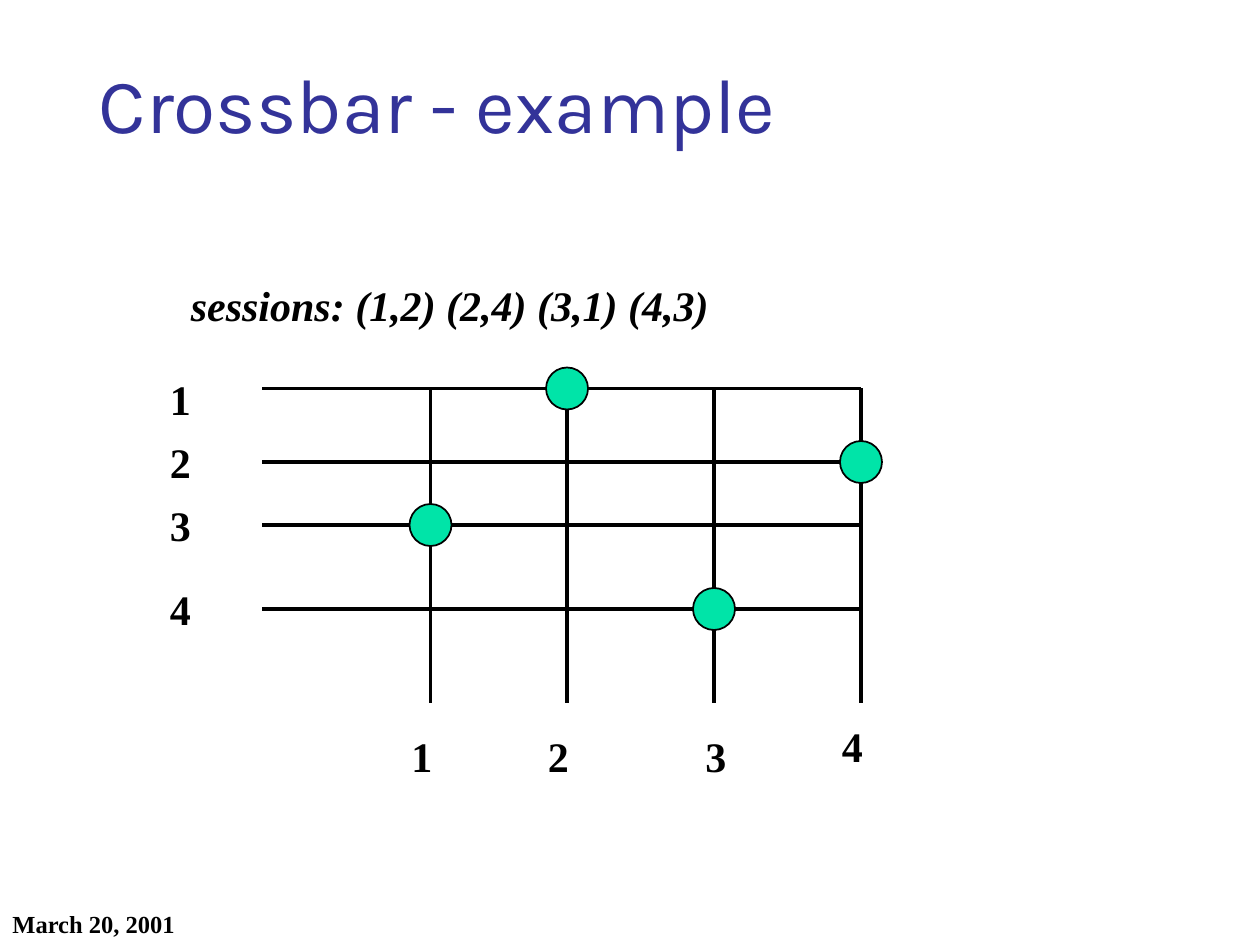
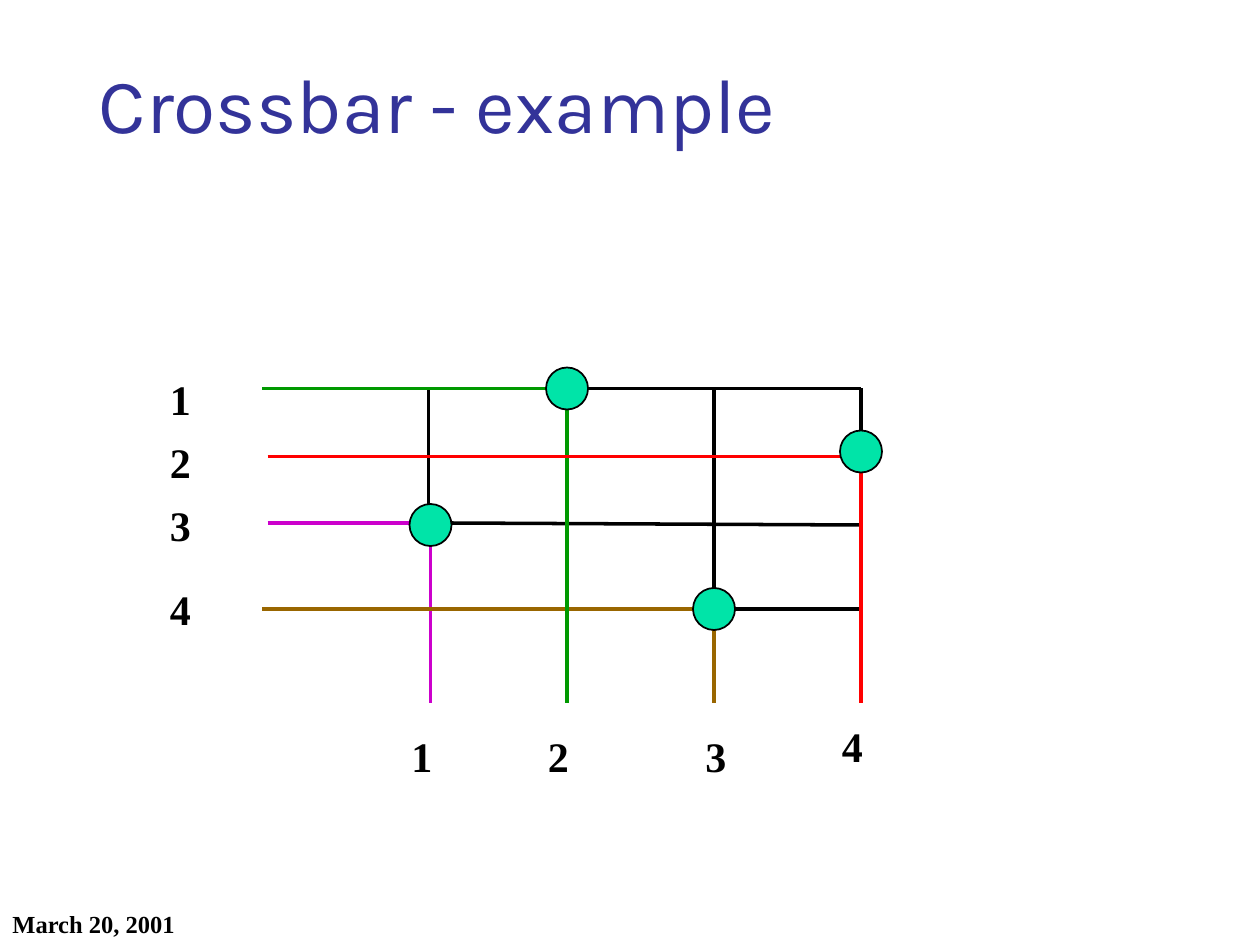
from dataclasses import dataclass

from lxml import etree
from pptx import Presentation
from pptx.dml.color import RGBColor
from pptx.enum.shapes import MSO_CONNECTOR, MSO_SHAPE
from pptx.enum.text import MSO_ANCHOR
from pptx.oxml.ns import qn
from pptx.util import Inches, Pt

STRAIGHT = MSO_CONNECTOR.STRAIGHT
OVAL = MSO_SHAPE.OVAL
TOP, BOTTOM = MSO_ANCHOR.TOP, MSO_ANCHOR.BOTTOM

SLIDE_WIDTH, SLIDE_HEIGHT = Inches(10), Inches(7.5)
COLUMN, ROW = SLIDE_WIDTH / 120, SLIDE_HEIGHT / 90

COLORS = {
    "title": "333399",
    "ink": "000000",
    "switch": "00E4A8",
    "green": "009900",
    "red": "FF0000",
    "magenta": "CC00CC",
    "brown": "996600",
}
TITLE_FONT, BODY_FONT = "Karla", "Times New Roman"

INPUT_ROWS = (2, 9, 15, 23)
OUTPUT_COLUMNS = (26, 39, 53, 67)
WIRE_LEFT, WIRE_RIGHT = 10, OUTPUT_COLUMNS[-1]
WIRE_TOP, WIRE_BOTTOM = INPUT_ROWS[0], 32
INPUT_LABEL_ROWS = (0, 6, 12, 20)
OUTPUT_LABELS = ((23, 34), (36, 34), (51, 34), (64, 33))
SWITCH_SIZE = 4


@dataclass
class Box:
    left: float
    top: float
    width: float
    height: float

    def inside(self, left, top, width, height):
        return Box(self.left + left, self.top + top, width, height)

    def emu(self):
        return (round(self.left * COLUMN), round(self.top * ROW),
                round(self.width * COLUMN), round(self.height * ROW))


@dataclass
class Route:
    source: int
    target: int
    color: str
    left: float = WIRE_LEFT
    row_shift: float = 0
    switch_shift: float = 0
    upper_shift: float = 0


TITLE_BOX = Box(8.25, 4.75, 103.5, 17.4)
DATE_BOX = Box(0, 84, 25, 6)
SESSIONS_BOX = Box(17, 26, 53.3, 6)
CROSSBAR_BOX = Box(15, 35, 72, 40)

SESSIONS = ((1, 2), (2, 4), (3, 1), (4, 3))
ROUTES = (
    Route(3, 1, "magenta", left=10.5, row_shift=-0.2, upper_shift=-0.2),
    Route(4, 3, "brown"),
    Route(1, 2, "green"),
    Route(2, 4, "red", left=10.5, row_shift=-0.5, switch_shift=-1),
)


def color(name):
    return RGBColor.from_string(COLORS[name])


def add_text(slide, box, text, size, ink="ink", font=BODY_FONT,
             bold=True, italic=False, anchor=TOP):
    frame = slide.shapes.add_textbox(*box.emu()).text_frame
    frame.word_wrap = True
    frame.vertical_anchor = anchor
    run = frame.paragraphs[0].add_run()
    run.text = text
    run.font.name = font
    run.font.size = Pt(size)
    run.font.bold = bold
    run.font.italic = italic
    run.font.color.rgb = color(ink)


def add_wire(slide, box, start, end, ink="ink"):
    if start == end:
        return
    points = [round(value) for x, y in (start, end)
              for value in ((box.left + x) * COLUMN, (box.top + y) * ROW)]
    wire = slide.shapes.add_connector(STRAIGHT, *points)
    wire.line.color.rgb = color(ink)
    wire.line.width = Pt(2)
    etree.SubElement(wire._element.spPr, qn("a:effectLst"))


def add_switch(slide, box, x, y):
    place = box.inside(x - SWITCH_SIZE / 2, y - SWITCH_SIZE / 2,
                       SWITCH_SIZE, SWITCH_SIZE)
    switch = slide.shapes.add_shape(OVAL, *place.emu())
    switch.shadow.inherit = False
    switch.fill.solid()
    switch.fill.fore_color.rgb = color("switch")
    switch.line.color.rgb = color("ink")
    switch.line.width = Pt(1)


def add_port_labels(slide, box):
    inputs = [(0, row) for row in INPUT_LABEL_ROWS]
    for places in (inputs, OUTPUT_LABELS):
        for number, (x, y) in enumerate(places, 1):
            add_text(slide, box.inside(x, y, 6.4, 6), str(number), 24)


def add_idle_crossbar(slide, box):
    for row in INPUT_ROWS:
        add_wire(slide, box, (WIRE_LEFT, row), (WIRE_RIGHT, row))
    for column in OUTPUT_COLUMNS:
        add_wire(slide, box, (column, WIRE_TOP), (column, WIRE_BOTTOM))
    add_port_labels(slide, box)
    for source, target in SESSIONS:
        add_switch(slide, box, OUTPUT_COLUMNS[target - 1], INPUT_ROWS[source - 1])


def add_routed_crossbar(slide, box):
    switches = []
    for route in ROUTES:
        x, y = OUTPUT_COLUMNS[route.target - 1], INPUT_ROWS[route.source - 1]
        wire_y, upper_x = y + route.row_shift, x + route.upper_shift
        if x != WIRE_RIGHT:
            add_wire(slide, box, (x, wire_y), (WIRE_RIGHT, y))
        if y != WIRE_TOP:
            add_wire(slide, box, (upper_x, WIRE_TOP), (upper_x, wire_y))
        add_wire(slide, box, (route.left, wire_y), (x, wire_y), route.color)
        add_wire(slide, box, (x, wire_y), (x, WIRE_BOTTOM), route.color)
        switches.append((x, y + route.switch_shift))
    add_port_labels(slide, box)
    for x, y in switches:
        add_switch(slide, box, x, y)


def add_base_slide(presentation):
    slide = presentation.slides.add_slide(presentation.slide_layouts[6])
    add_text(slide, DATE_BOX, "March 20, 2001", 14, anchor=BOTTOM)
    add_text(slide, TITLE_BOX, "Crossbar - example", 44, "title", TITLE_FONT,
             bold=False)
    return slide


def main():
    presentation = Presentation()
    presentation.slide_width, presentation.slide_height = SLIDE_WIDTH, SLIDE_HEIGHT

    slide = add_base_slide(presentation)
    add_idle_crossbar(slide, CROSSBAR_BOX)
    pairs = " ".join(f"({source},{target})" for source, target in SESSIONS)
    add_text(slide, SESSIONS_BOX, f"sessions: {pairs}", 24, italic=True)

    slide = add_base_slide(presentation)
    add_routed_crossbar(slide, CROSSBAR_BOX)

    presentation.save("out.pptx")


if __name__ == "__main__":
    main()
